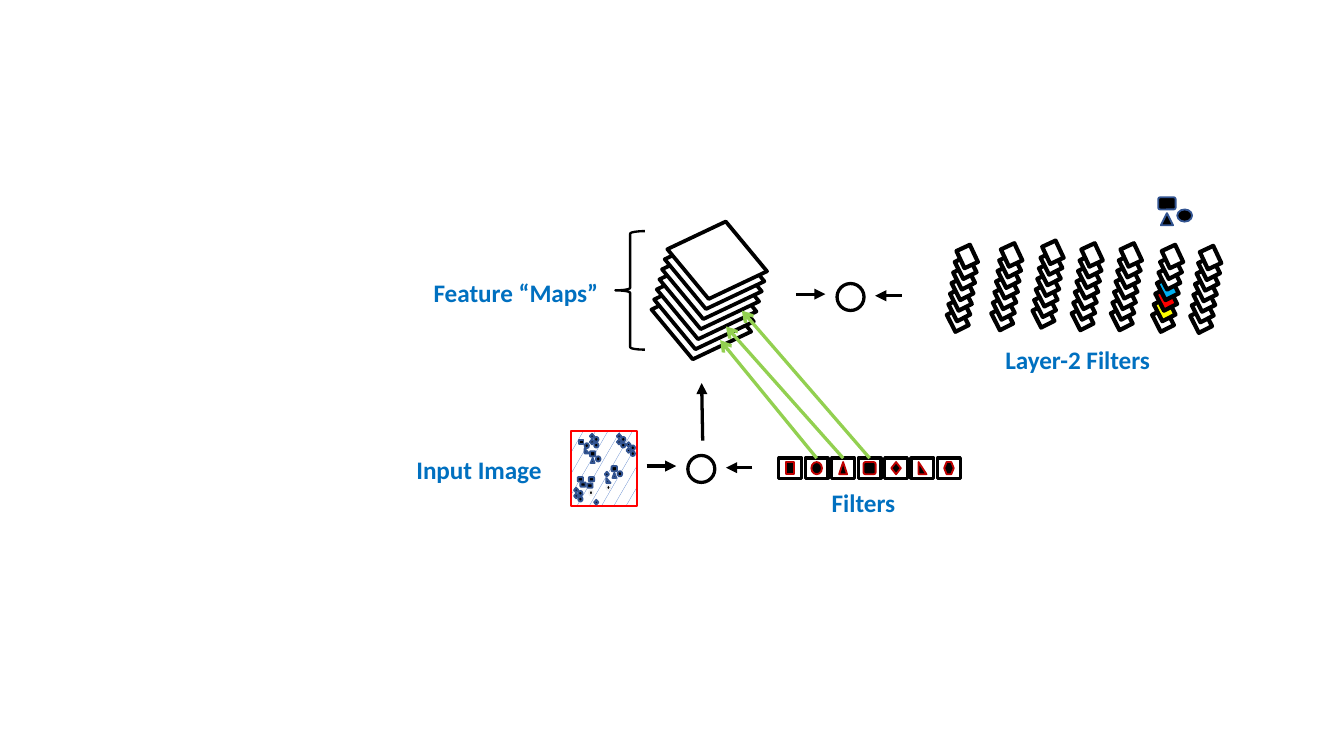
import pptx
import pptx.dml.color
import pptx.enum.dml
import pptx.enum.shapes
import pptx.enum.text
import pptx.oxml
import pptx.oxml.ns
import pptx.util

Cm = pptx.util.Cm
Pt = pptx.util.Pt
RGBColor = pptx.dml.color.RGBColor
KIND = pptx.enum.shapes.MSO_SHAPE

BLACK = RGBColor(0x00, 0x00, 0x00)
WHITE = RGBColor(0xFF, 0xFF, 0xFF)
RED = RGBColor(0xFF, 0x00, 0x00)
YELLOW = RGBColor(0xFF, 0xFF, 0x00)
SKY = RGBColor(0x00, 0xB0, 0xF0)
GREEN = RGBColor(0x92, 0xD0, 0x50)
LABEL_BLUE = RGBColor(0x00, 0x70, 0xC0)
PATTERN_BLUE = RGBColor(0x44, 0x72, 0xC4)
NAVY = RGBColor(0x32, 0x54, 0x91)
DARK_RED = RGBColor(0xC0, 0x00, 0x00)
PALE = RGBColor(0xF2, 0xF2, 0xF2)

LABEL_FONT = {"name": "Calibri", "size": Pt(13.5), "bold": True}

# Kind, offset and size of the three parts of the cluster pattern
CLUSTER = [
    (KIND.ROUNDED_RECTANGLE, 0, 0, 0.33, 0.23),
    (KIND.ISOSCELES_TRIANGLE, 0.05, 0.3, 0.23, 0.23),
    (KIND.OVAL, 0.36, 0.23, 0.28, 0.23),
]
CHAIN = [
    (KIND.DIAMOND, 0, 0),
    (KIND.DIAMOND, 0, 0.11),
    (KIND.OVAL, 0.08, 0.06),
    (KIND.OVAL, 0.08, 0.17),
]
# Kind and width of the pattern in each layer-1 filter
FILTER_PATTERNS = [
    (KIND.RECTANGLE, 0.15),
    (KIND.OVAL, 0.2),
    (KIND.ISOSCELES_TRIANGLE, 0.15),
    (KIND.ROUNDED_RECTANGLE, 0.23),
    (KIND.DIAMOND, 0.18),
    (KIND.RIGHT_TRIANGLE, 0.15),
    (KIND.HEXAGON, 0.18),
]


def add_outline(parent, kind, left, top, width, height, fill=None,
                line=BLACK, weight=1.0, rotation=0):
    """Add a preset shape; lengths are in centimetres."""
    shape = parent.shapes.add_shape(kind, Cm(left), Cm(top), Cm(width), Cm(height))
    shape.shadow.inherit = False
    shape.rotation = rotation
    if fill is None:
        shape.fill.background()
    else:
        shape.fill.solid()
        shape.fill.fore_color.rgb = fill
    shape.line.color.rgb = line
    shape.line.width = Pt(weight)
    return shape


def add_arrow(parent, start, end, color=BLACK, head="triangle"):
    ends = [Cm(length) for length in (*start, *end)]
    arrow = parent.shapes.add_connector(pptx.enum.shapes.MSO_CONNECTOR.STRAIGHT, *ends)
    arrow.line.color.rgb = color
    arrow.line.width = Pt(1.75)
    tail = pptx.oxml.parse_xml(
        f'<a:tailEnd {pptx.oxml.ns.nsdecls("a")} type="{head}"/>')
    arrow.line._get_or_add_ln().append(tail)
    no_effects = pptx.oxml.parse_xml(f'<a:effectLst {pptx.oxml.ns.nsdecls("a")}/>')
    arrow._element.spPr.append(no_effects)
    return arrow


def add_label(slide, wording, left, top, width):
    label = slide.shapes.add_textbox(Cm(left), Cm(top), Cm(width), Cm(0.84))
    frame = label.text_frame
    frame.word_wrap = False
    frame.auto_size = pptx.enum.text.MSO_AUTO_SIZE.SHAPE_TO_FIT_TEXT
    run = frame.paragraphs[0].add_run()
    run.text = wording
    for attribute, value in LABEL_FONT.items():
        setattr(run.font, attribute, value)
    run.font.color.rgb = LABEL_BLUE
    return frame.paragraphs[0]


def add_cluster(parent, left, top, x_scale=1.0, y_scale=1.0):
    for kind, dx, dy, width, height in CLUSTER:
        add_outline(parent, kind, left + dx * x_scale, top + dy * y_scale,
                    width * x_scale, height * y_scale, BLACK, NAVY)


def add_input_image(slide):
    image = slide.shapes.add_group_shape()
    canvas = add_outline(image, KIND.RECTANGLE, 10.8, 8.15, 1.24, 1.42, line=RED)
    canvas.fill.patterned()
    canvas.fill.pattern = pptx.enum.dml.MSO_PATTERN.SMALL_CONFETTI
    canvas.fill.fore_color.rgb = PATTERN_BLUE
    canvas.fill.back_color.rgb = WHITE

    # Repeated patterns
    for left, top in [(11.15, 8.2), (10.85, 9.22), (11.66, 8.2), (11.84, 8.36)]:
        for kind, dx, dy in CHAIN:
            add_outline(image, kind, left + dx, top + dy, 0.08, 0.09, BLACK, NAVY)
    for left, top in [(11.15, 8.53), (11.56, 8.81)]:
        add_cluster(image, left, top, 0.31, 0.42)
    for left, top in [(10.92, 9.02), (10.97, 9.12), (11.1, 9.14), (11.13, 9.02)]:
        add_outline(image, KIND.ROUNDED_RECTANGLE, left, top, 0.1, 0.08, BLACK, NAVY)

    # Single marks
    for kind, left, top, line in [
        (KIND.RECTANGLE, 10.95, 8.31, NAVY),
        (KIND.OVAL, 11.05, 8.38, NAVY),
        (KIND.RIGHT_TRIANGLE, 11.05, 8.48, NAVY),
        (KIND.DIAMOND, 11.43, 8.92, NAVY),
        (KIND.RIGHT_TRIANGLE, 11.46, 9.04, NAVY),
        (KIND.HEXAGON, 11.46, 9.17, PALE),
        (KIND.HEXAGON, 11.13, 9.27, PALE),
        (KIND.DIAMOND, 11.23, 9.45, NAVY),
    ]:
        add_outline(image, kind, left, top, 0.08, 0.09, BLACK, line)


def add_feature_maps(slide):
    maps = slide.shapes.add_group_shape()
    for level in range(7):
        add_outline(maps, KIND.DIAMOND, 12.29 + 0.05 * level, 5.31 - 0.19 * level,
                    1.93, 1.5, WHITE if level else None, weight=2, rotation=12.5)


def add_convolution(parent, left, top):
    """Add the operator circle with an arrow in from either side."""
    add_arrow(parent, (left - 0.78, top + 0.2), (left - 0.22, top + 0.2))
    add_arrow(parent, (left + 1.22, top + 0.23), (left + 0.72, top + 0.23))
    add_outline(parent, KIND.OVAL, left, top, 0.51, 0.51, weight=1.75)


def add_filters(slide):
    filters = slide.shapes.add_group_shape()
    cells = []
    width, height, pattern_height = 0.43, 0.38, 0.23
    for index, (kind, pattern_width) in enumerate(FILTER_PATTERNS):
        left, top = 14.72 + 0.5 * index, 8.66
        add_outline(filters, kind, left + (width - pattern_width) / 2,
                    top + (height - pattern_height) / 2,
                    pattern_width, pattern_height, BLACK, DARK_RED)
        cells.append(add_outline(filters, KIND.RECTANGLE, left, top,
                                 width, height, weight=1.75))
    return cells


def add_layer2_filter(slide, left, top, fills):
    stack = slide.shapes.add_group_shape()
    for level in range(7):
        add_outline(stack, KIND.RECTANGLE, left + 0.03 * level, top - 0.2 * level,
                    0.28, 0.36, fills.get(level, WHITE), weight=2.25,
                    rotation=335 if level == 6 else 333)


def main():
    deck = pptx.Presentation()
    deck.slide_width, deck.slide_height = Cm(25.4), Cm(14.29)
    slide = deck.slides.add_slide(deck.slide_layouts[6])

    # Input image and feature maps
    add_input_image(slide)
    add_label(slide, "Input Image", 7.62, 8.46, 2.9)
    add_feature_maps(slide)
    add_outline(slide, KIND.LEFT_BRACE, 11.63, 4.37, 0.56, 2.24, weight=1.25)
    maps_label = add_label(slide, "Feature “Maps”", 7.92, 5.11, 3.66)
    maps_label.alignment = pptx.enum.text.PP_ALIGN.CENTER

    # First convolution, leading up to the maps
    first_layer = slide.shapes.add_group_shape()
    add_convolution(first_layer, 13, 8.61)
    add_arrow(first_layer, (13.28, 8.33), (13.26, 7.24))

    # Layer-1 filters, each tied to the map it makes
    cells = add_filters(slide)
    add_label(slide, "Filters", 15.47, 9.09, 1.73)
    map_corners = [(13.61, 6.43), (13.72, 6.17), (14.02, 5.87)]
    for cell, corner in zip(cells[1:4], map_corners):
        link = add_arrow(slide, (0, 0), corner, GREEN, "arrow")
        link.begin_connect(cell, 0)

    # Layer-2 filters, one of them tuned to a cluster
    tuned = {1: YELLOW, 2: RED, 3: SKY}
    for left, top, fills in [
        (17.96, 5.87, {}), (18.8, 5.84, {}), (19.58, 5.79, {}), (20.32, 5.84, {}),
        (21.06, 5.84, {}), (21.84, 5.87, tuned), (22.56, 5.89, {}),
    ]:
        add_layer2_filter(slide, left, top, fills)
    add_convolution(slide, 15.82, 5.36)
    add_label(slide, "Layer-2 Filters", 18.75, 6.38, 3.28)
    add_cluster(slide.shapes.add_group_shape(), 21.89, 3.73)

    deck.save("out.pptx")


if __name__ == "__main__":
    main()
